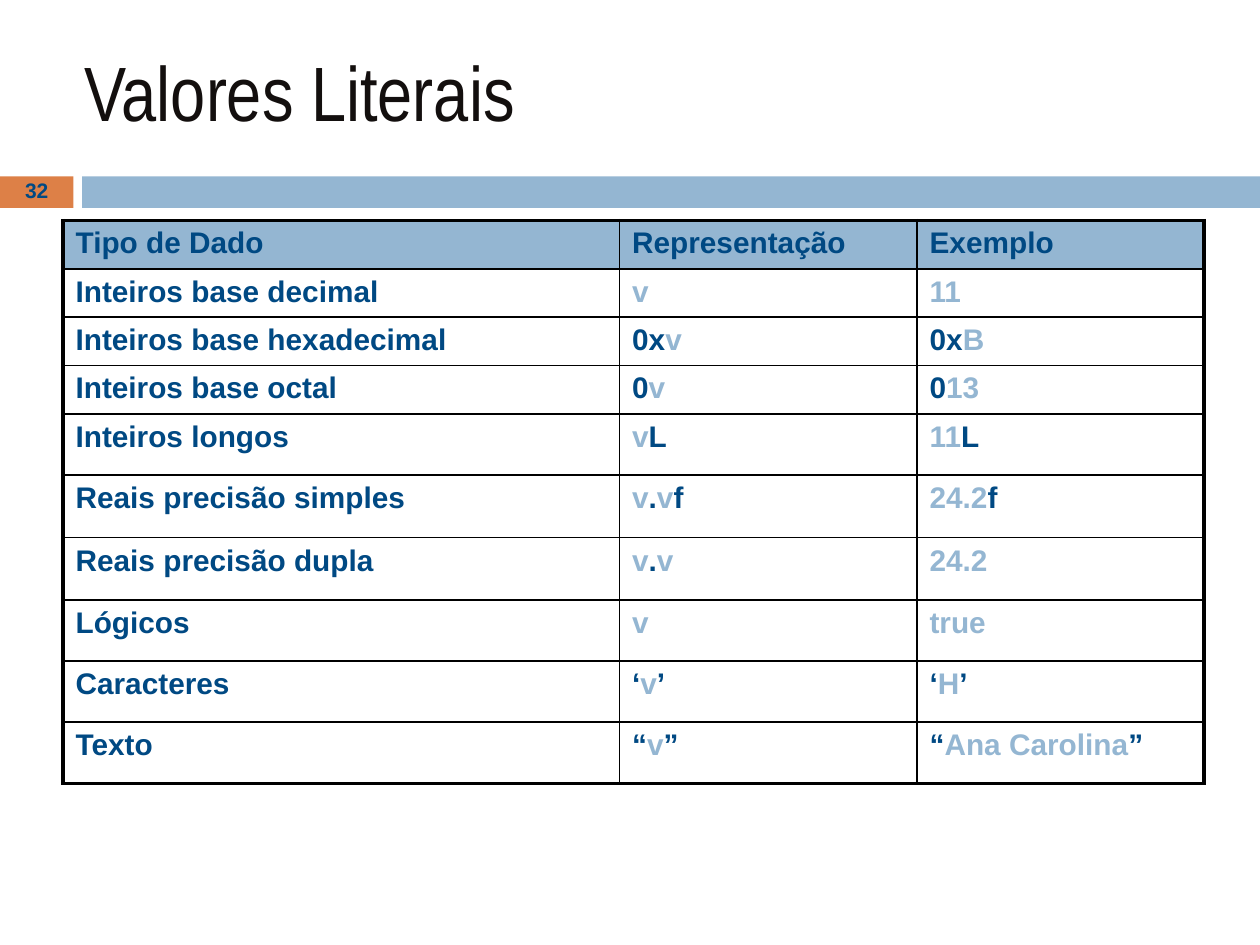
from lxml.etree import SubElement
from pptx import Presentation
from pptx.dml.color import RGBColor
from pptx.enum.shapes import MSO_SHAPE
from pptx.enum.text import MSO_ANCHOR, PP_ALIGN
from pptx.oxml.ns import qn
from pptx.util import Pt

NAVY, BLUE, ORANGE, BLACK, INK = "004983", "94B6D2", "DD8047", "000000", "130F0E"
TITLE_FONT = {"name": "Arial Narrow", "size": Pt(44), "bold": False}
CELL_FONT = {"name": "Arial", "size": Pt(17), "bold": True}
NUMBER_FONT = {"name": "Arial", "size": Pt(12), "bold": True}

COLUMNS = [318, 170, 164]
ROWS = [27.6] * 4 + [35, 35.7, 35.7] + [34.9] * 3
# In each cell, "|" switches between the navy and the light blue colour.
LITERALS = [
    ("Tipo de Dado", "Representação", "Exemplo"),
    ("Inteiros base decimal", "|v", "|11"),
    ("Inteiros base hexadecimal", "0x|v", "0x|B"),
    ("Inteiros base octal", "0|v", "0|13"),
    ("Inteiros longos", "|v|L", "|11|L"),
    ("Reais precisão simples", "|v|.|v|f", "|24.2|f"),
    ("Reais precisão dupla", "|v|.|v", "|24.2"),
    ("Lógicos", "|v", "|true"),
    ("Caracteres", "‘|v|’", "‘|H|’"),
    ("Texto", "“|v|”", "“|Ana Carolina|”"),
]


def rgb(color):
    return RGBColor.from_string(color)


def add_run(p, text, color, font):
    r = p.add_run()
    r.text = text
    for name, value in font.items():
        setattr(r.font, name, value)
    r.font.color.rgb = rgb(color)


def add_title(s, text, x, y, w, h):
    sp = s.shapes.title
    sp.left, sp.top, sp.width, sp.height = Pt(x), Pt(y), Pt(w), Pt(h)
    tf = sp.text_frame
    tf.vertical_anchor = MSO_ANCHOR.MIDDLE
    p = tf.paragraphs[0]
    p.alignment = PP_ALIGN.LEFT
    add_run(p, text, INK, TITLE_FONT)


def add_bar(s, color, x, y, w, h):
    sp = s.shapes.add_shape(MSO_SHAPE.RECTANGLE, Pt(x), Pt(y), Pt(w), Pt(h))
    sp.shadow.inherit = False
    sp.fill.solid()
    sp.fill.fore_color.rgb = rgb(color)
    sp.line.fill.background()


def add_number_band(s, number, x, y, w, h):
    """Place the orange number tab and the blue bar that fills the rest."""
    tab, gap = 42, 5
    add_bar(s, ORANGE, x, y, tab, h)
    add_bar(s, BLUE, x + tab + gap, y, w - tab - gap, h)
    tf = s.shapes.add_textbox(Pt(x), Pt(y), Pt(tab), Pt(h)).text_frame
    tf.word_wrap = True
    tf.vertical_anchor = MSO_ANCHOR.MIDDLE
    p = tf.paragraphs[0]
    p.alignment = PP_ALIGN.CENTER
    p.line_spacing = 0.8
    add_run(p, number, NAVY, NUMBER_FONT)


def set_borders(cell, outer):
    """Draw thick lines on the outer sides and thin ones on the others."""
    tc_pr = cell._tc.get_or_add_tcPr()
    for side in "LRTB":
        width = Pt(2.25 if outer[side] else 1)
        ln = SubElement(tc_pr, qn(f"a:ln{side}"), w=str(width))
        fill = SubElement(ln, qn("a:solidFill"))
        SubElement(fill, qn("a:srgbClr"), val=BLACK)


def add_literals_table(s, x, y):
    frame = s.shapes.add_table(len(ROWS), len(COLUMNS), Pt(x), Pt(y),
                               Pt(sum(COLUMNS)), Pt(sum(ROWS)))
    table = frame.table
    for column, width in zip(table.columns, COLUMNS):
        column.width = Pt(width)
    for row, height in zip(table.rows, ROWS):
        row.height = Pt(height)
    for i, texts in enumerate(LITERALS):
        for j, text in enumerate(texts):
            cell = table.cell(i, j)
            set_borders(cell, {"L": j == 0, "R": j == len(COLUMNS) - 1,
                               "T": i == 0, "B": i == len(ROWS) - 1})
            if i == 0:
                cell.fill.solid()
                cell.fill.fore_color.rgb = rgb(BLUE)
            else:
                cell.fill.background()
            p = cell.text_frame.paragraphs[0]
            for k, part in enumerate(text.split("|")):
                if part:
                    add_run(p, part, BLUE if k % 2 else NAVY, CELL_FONT)


def main():
    prs = Presentation()
    prs.slide_width, prs.slide_height = Pt(720), Pt(540)
    s = prs.slides.add_slide(prs.slide_layouts[5])
    add_title(s, "Valores Literais", 41, 18, 503, 68)
    add_number_band(s, "32", 0, 100.8, 720, 18)
    add_literals_table(s, 36, 126)
    prs.save("out.pptx")


if __name__ == "__main__":
    main()
